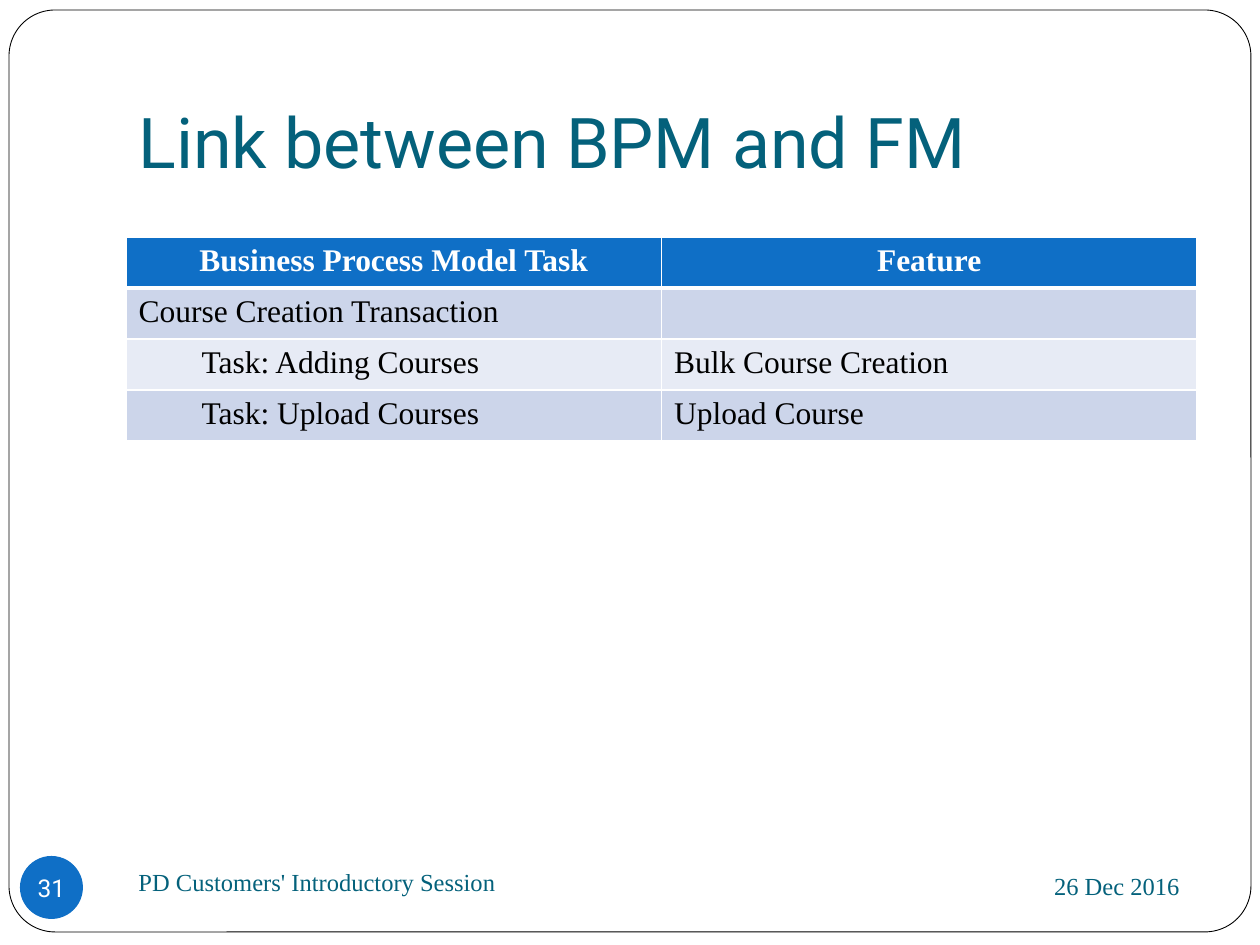
import pptx
import pptx.util
import pptx.dml.color
import pptx.enum.shapes
import pptx.enum.text
import pptx.oxml
import pptx.oxml.ns

EMU_PER_PX = 914400 / 126
COLORS = {
    "white": "FFFFFF",
    "black": "000000",
    "teal": "04617B",
    "blue": "0F6FC6",
    "band_dark": "CCD5EA",
    "band_light": "E7EBF5",
}
SANS, SERIF = "Roboto", "Times New Roman"
ALIGN = pptx.enum.text.PP_ALIGN
ANCHOR = pptx.enum.text.MSO_ANCHOR
SHAPES = pptx.enum.shapes.MSO_SHAPE


def px(length):
    return pptx.util.Emu(round(length * EMU_PER_PX))


def rgb(name):
    return pptx.dml.color.RGBColor.from_string(COLORS[name])


class SlideBuilder:
    def __init__(self, presentation):
        self.slide = presentation.slides.add_slide(presentation.slide_layouts[6])

    def style_text(self, text_frame, text, size, font, color, align=ALIGN.LEFT, bold=False):
        text_frame.text = text
        paragraph = text_frame.paragraphs[0]
        paragraph.alignment = align
        for run in paragraph.runs:
            run.font.size = pptx.util.Pt(size)
            run.font.name = font
            run.font.bold = bold
            run.font.color.rgb = rgb(color)
        return paragraph

    def text(self, box, text, size, font, align=ALIGN.LEFT, anchor=ANCHOR.MIDDLE, bottom=6):
        frame = self.slide.shapes.add_textbox(*map(px, box)).text_frame
        frame.word_wrap = True
        frame.vertical_anchor = anchor
        frame.margin_bottom = px(bottom)
        self.style_text(frame, text, size, font, "teal", align)

    def shape(self, kind, box, fill, line=None):
        shape = self.slide.shapes.add_shape(kind, *map(px, box))
        shape.shadow.inherit = False
        shape.fill.solid()
        shape.fill.fore_color.rgb = rgb(fill)
        if line:
            shape.line.color.rgb = rgb(line)
            shape.line.width = pptx.util.Pt(0.5)
        else:
            shape.line.fill.background()
        return shape

    def badge(self, box, text):
        frame = self.shape(SHAPES.OVAL, box, "blue").text_frame
        frame.margin_left = frame.margin_right = 0
        frame.margin_top = frame.margin_bottom = 0
        frame.word_wrap = False
        frame.vertical_anchor = ANCHOR.MIDDLE
        self.style_text(frame, text, 14, SANS, "white", ALIGN.CENTER)

    def borders(self, cell, widths):
        properties = cell._tc.get_or_add_tcPr()
        for side, points in widths.items():
            properties.append(pptx.oxml.parse_xml(
                f'<a:ln{side} {pptx.oxml.ns.nsdecls("a")} w="{pptx.util.Pt(points)}">'
                f'<a:solidFill><a:srgbClr val="{COLORS["white"]}"/></a:solidFill></a:ln{side}>'))

    def table(self, box, rows):
        """Rows hold (text, indent level) pairs; the first row is the header."""
        table = self.slide.shapes.add_table(len(rows), len(rows[0]), *map(px, box)).table
        for r, row in enumerate(rows):
            header = r == 0
            fill = "blue" if header else ("band_light", "band_dark")[r % 2]
            for c, (text, level) in enumerate(row):
                cell = table.cell(r, c)
                self.borders(cell, {"L": 1, "R": 1, "T": 3 if r == 1 else 1,
                                    "B": 3 if header else 1})
                cell.fill.solid()
                cell.fill.fore_color.rgb = rgb(fill)
                paragraph = self.style_text(
                    cell.text_frame, text, 18, SERIF, "white" if header else "black",
                    ALIGN.CENTER if header else ALIGN.LEFT, header)
                if level:
                    paragraph.level = level
                    paragraph._p.get_or_add_pPr().set("marL", str(px(63 * level)))


def main():
    presentation = pptx.Presentation()
    presentation.slide_width, presentation.slide_height = px(1260), px(945)
    builder = SlideBuilder(presentation)

    # Frame
    frame = builder.shape(SHAPES.ROUNDED_RECTANGLE, (9, 10, 1242, 922), "white", "black")
    frame.adjustments[0] = 0.05

    # Title
    builder.text((126, 38, 1071, 157), "Link between BPM and FM", 40, SANS,
                 anchor=ANCHOR.BOTTOM, bottom=13)

    # Footer
    builder.text((850, 853, 342, 66), "26 Dec 2016", 14, SERIF, ALIGN.RIGHT)
    builder.text((126, 850, 546, 63), "PD Customers' Introductory Session", 14, SERIF)
    builder.badge((20, 856, 63, 63), "31")

    # Task to feature table
    builder.table((126, 237, 1071, 204), [
        [("Business Process Model Task", 0), ("Feature", 0)],
        [("Course Creation Transaction", 0), ("", 0)],
        [("Task: Adding Courses", 1), ("Bulk Course Creation", 0)],
        [("Task: Upload Courses", 1), ("Upload Course", 0)],
    ])

    presentation.save("out.pptx")


if __name__ == "__main__":
    main()
